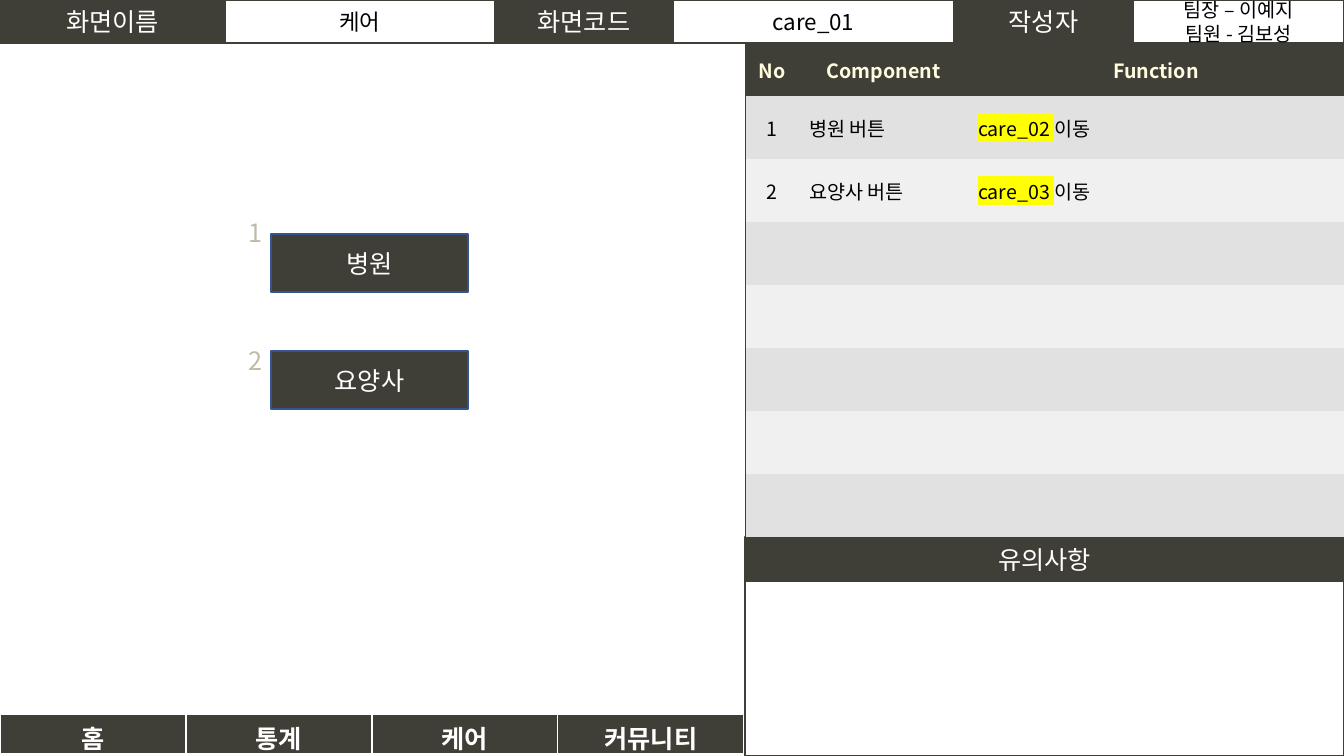
import itertools

import lxml.etree
import pptx
import pptx.dml.color
import pptx.enum.shapes
import pptx.enum.text
import pptx.oxml
import pptx.oxml.ns
import pptx.util

PX = 914400 / 100.8
FONT = "Noto Sans CJK KR"
NO_STYLE_TABLE = "{2D5ABB26-0587-4C30-8999-92F81FD0307C}"
COLORS = {
    "dark": "403F37", "white": "FFFFFF", "black": "000000", "cream": "FFFBDE",
    "odd_row": "E1E1E1", "even_row": "F0F0F0", "highlight": "FFFF00",
    "button_edge": "325491", "header_rule": "4472C4", "number": "BFBCA6",
}
ALIGN = pptx.enum.text.PP_ALIGN
MIDDLE = pptx.enum.text.MSO_ANCHOR.MIDDLE

HEADER_HEIGHT = 43
HEADER_EDGES = [0, 225, 495, 673, 954, 1133, 1344]
HEADER_FIELDS = [
    ("화면이름", "dark", "white", 18), ("케어", "white", "black", 16),
    ("화면코드", "dark", "white", 18), ("care_01", "white", "black", 16),
    ("작성자", "dark", "white", 18),
    ("팀장 – 이예지\n팀원 - 김보성", "white", "black", 14),
]
PANEL_LEFT, PANEL_WIDTH = 745, 599
COMPONENT_COLUMNS = [54, 169, 376]
COMPONENT_ROWS = [52] + [63] * 7
COMPONENTS = [("병원 버튼", "care_02 "), ("요양사 버튼", "care_03 ")]
BUTTONS = [("1", "병원", 212, 234), ("2", "요양사", 340, 351)]
NAV_ITEMS = ["홈", "통계", "케어", "커뮤니티"]


def emu(px):
    return pptx.util.Emu(round(px * PX))


def rgb(color):
    return pptx.dml.color.RGBColor.from_string(COLORS[color])


def sub_element(parent, tag, **attributes):
    return lxml.etree.SubElement(parent, pptx.oxml.ns.qn(tag), attributes)


def add_run(paragraph, text, size, color, bold=False, highlight=None):
    run = paragraph.add_run()
    run.text = text
    run.font.size = pptx.util.Pt(size)
    run.font.bold = bold
    run.font.color.rgb = rgb(color)
    properties = run.font._element
    if highlight:
        mark = sub_element(properties, "a:highlight")
        sub_element(mark, "a:srgbClr", val=COLORS[highlight])
    run.font.name = FONT
    sub_element(properties, "a:ea", typeface=FONT)


def write_text(frame, text, size=18, color="white", bold=False, align=ALIGN.CENTER,
               highlighted=None):
    """Fill a frame, one paragraph a line; highlighted text leads the first one."""
    for index, line in enumerate(text.split("\n")):
        paragraph = frame.add_paragraph() if index else frame.paragraphs[0]
        paragraph.alignment = align
        if highlighted and index == 0:
            add_run(paragraph, highlighted, size, color, bold, "highlight")
        add_run(paragraph, line, size, color, bold)


def add_box(slide, left, top, width, height, fill, edge="dark", text="", **text_format):
    box = slide.shapes.add_shape(pptx.enum.shapes.MSO_SHAPE.RECTANGLE,
                                 emu(left), emu(top), emu(width), emu(height))
    box.shadow.inherit = False
    box.fill.solid()
    box.fill.fore_color.rgb = rgb(fill)
    box.line.color.rgb = rgb(edge)
    box.line.width = pptx.util.Pt(1)
    box.text_frame.word_wrap = True
    box.text_frame.vertical_anchor = MIDDLE
    if text:
        write_text(box.text_frame, text, **text_format)


def add_rule(slide, x1, y1, x2, y2, color):
    rule = slide.shapes.add_connector(pptx.enum.shapes.MSO_CONNECTOR.STRAIGHT,
                                      emu(x1), emu(y1), emu(x2), emu(y2))
    rule.line.color.rgb = rgb(color)
    rule.line.width = pptx.util.Pt(0.5)
    sub_element(rule._element.spPr, "a:effectLst")


def add_number(slide, left, top, number):
    label = slide.shapes.add_textbox(emu(left), emu(top), emu(34), emu(40))
    label.text_frame.word_wrap = False
    label.text_frame.auto_size = pptx.enum.text.MSO_AUTO_SIZE.SHAPE_TO_FIT_TEXT
    write_text(label.text_frame, number, color="number", align=ALIGN.LEFT)


def add_plain_table(slide, left, top, columns, rows):
    frame = slide.shapes.add_table(len(rows), len(columns), emu(left), emu(top),
                                   emu(sum(columns)), emu(sum(rows)))
    table = frame.table
    table.first_row = table.horz_banding = False
    table._tbl.tblPr.find(pptx.oxml.ns.qn("a:tableStyleId")).text = NO_STYLE_TABLE
    for column, width in zip(table.columns, columns):
        column.width = emu(width)
    for row, height in zip(table.rows, rows):
        row.height = emu(height)
    return table


def fill_cell(cell, color):
    cell.fill.solid()
    cell.fill.fore_color.rgb = rgb(color)


def border_cell(cell, color, **widths):
    """Draw cell edges; widths in points by side. Call before filling the cell."""
    properties = cell._tc.get_or_add_tcPr()
    for side, width in widths.items():
        edge = sub_element(properties, f"a:ln{side}", w=str(pptx.util.Pt(width)))
        sub_element(sub_element(edge, "a:solidFill"), "a:srgbClr", val=COLORS[color])


def add_header(slide):
    add_rule(slide, 264, HEADER_HEIGHT, 1338, HEADER_HEIGHT, "header_rule")
    for (left, right), (text, fill, color, size) in zip(
            itertools.pairwise(HEADER_EDGES), HEADER_FIELDS):
        add_box(slide, left, 0, right - left, HEADER_HEIGHT, fill,
                text=text, color=color, size=size)


def add_component_table(slide):
    table = add_plain_table(slide, PANEL_LEFT, 44, COMPONENT_COLUMNS, COMPONENT_ROWS)
    for index in range(len(COMPONENT_ROWS)):
        fill = "dark" if index == 0 else "odd_row" if index % 2 else "even_row"
        for column in range(len(COMPONENT_COLUMNS)):
            cell = table.cell(index, column)
            cell.vertical_anchor = MIDDLE
            fill_cell(cell, fill)
    for column, title in enumerate(["No", "Component", "Function"]):
        write_text(table.cell(0, column).text_frame, title, size=14, color="cream", bold=True)
    body = {"size": 14, "color": "black"}
    for number, (component, target) in enumerate(COMPONENTS, start=1):
        write_text(table.cell(number, 0).text_frame, str(number), **body)
        write_text(table.cell(number, 1).text_frame, component, align=ALIGN.LEFT, **body)
        write_text(table.cell(number, 2).text_frame, "이동", align=ALIGN.LEFT,
                   highlighted=target, **body)


def add_navigation(slide):
    table = add_plain_table(slide, 0, 714, [186] * len(NAV_ITEMS), [41])
    for column, item in enumerate(NAV_ITEMS):
        cell = table.cell(0, column)
        border_cell(cell, "white", L=1, R=1, T=1, B=3)
        fill_cell(cell, "dark")
        write_text(cell.text_frame, item, bold=True)


def main():
    presentation = pptx.Presentation()
    presentation.slide_width, presentation.slide_height = emu(1344), emu(756)
    slide = presentation.slides.add_slide(presentation.slide_layouts[6])

    add_header(slide)
    add_box(slide, PANEL_LEFT, 537, PANEL_WIDTH, 44, "dark", text="유의사항")
    add_box(slide, PANEL_LEFT, 581, PANEL_WIDTH, 175, "white")
    add_component_table(slide)
    add_rule(slide, PANEL_LEFT, HEADER_HEIGHT, PANEL_LEFT, 756, "dark")
    for number, caption, number_top, button_top in BUTTONS:
        add_box(slide, 271, button_top, 197, 58, "dark", edge="button_edge", text=caption)
        add_number(slide, 239, number_top, number)
    add_navigation(slide)

    presentation.save("out.pptx")


if __name__ == "__main__":
    main()
